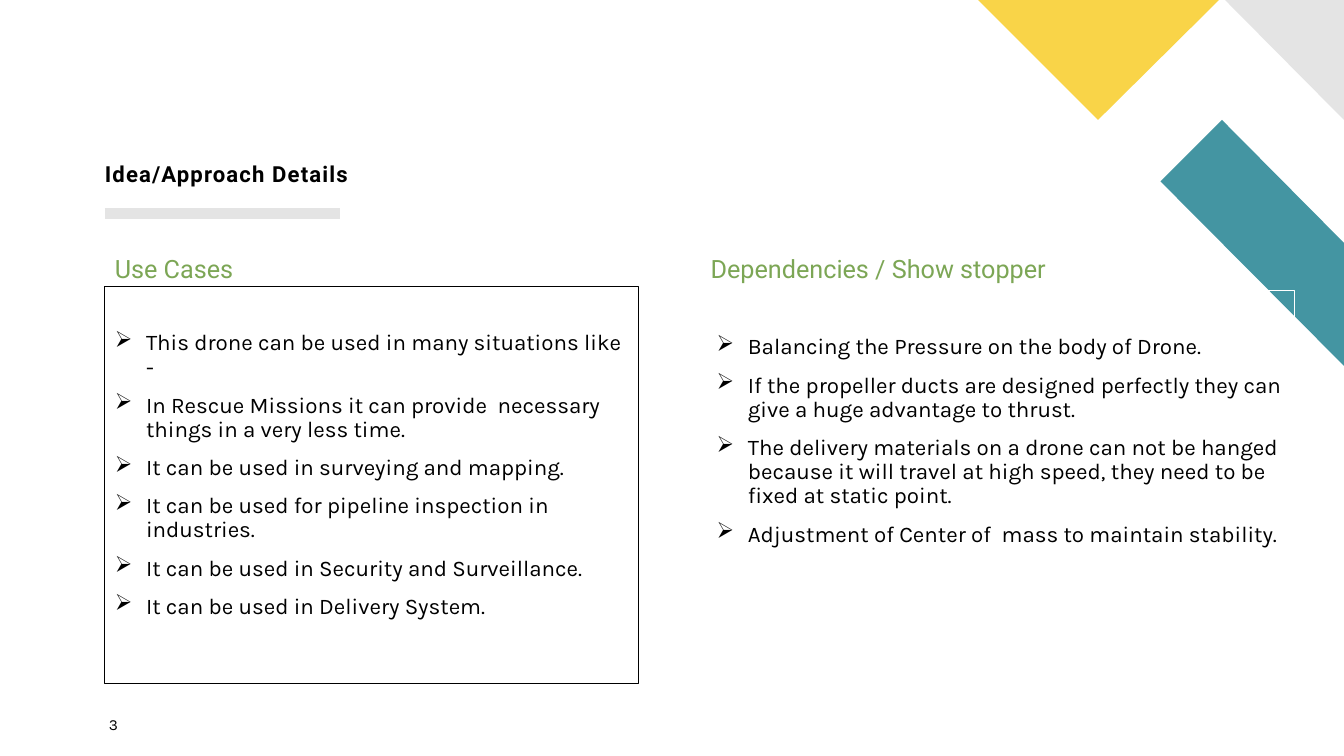
from lxml import etree
from pptx import Presentation
from pptx.dml.color import RGBColor
from pptx.enum.shapes import MSO_CONNECTOR, MSO_SHAPE
from pptx.enum.text import MSO_ANCHOR, PP_ALIGN
from pptx.oxml.ns import qn
from pptx.util import Inches, Pt

BLACK = RGBColor(0x00, 0x00, 0x00)
WHITE = RGBColor(0xFF, 0xFF, 0xFF)
GREY = RGBColor(0xE4, 0xE4, 0xE4)
TEAL = RGBColor(0x44, 0x95, 0xA2)
YELLOW = RGBColor(0xF9, 0xD4, 0x48)
GREEN = RGBColor(0x7C, 0xA6, 0x55)

CORNER_SHAPES = [
    (TEAL, [(13.33, 3.63), (13.33, 2.41), (12.12, 1.19), (11.51, 1.8)]),
    (GREY, [(13.33, 1.19), (13.33, 0), (12.15, 0)]),
    (YELLOW, [(9.7, 0), (10.89, 1.19), (12.09, 0)]),
]
USE_CASES = [
    "This drone can be used in many situations like -",
    "In Rescue Missions it can provide  necessary things in a very less time.",
    "It can be used in surveying and mapping.",
    "It can be used for pipeline inspection in industries.",
    "It can be used in Security and Surveillance.",
    "It can be used in Delivery System.",
]
DEPENDENCIES = [
    "Balancing the Pressure on the body of Drone.",
    "If the propeller ducts are designed perfectly they can give a huge advantage to thrust.",
    "The delivery materials on a drone can not be hanged because it will travel at high speed, "
    "they need to be fixed at static point.",
    "Adjustment of Center of  mass to maintain stability.",
]


def add_polygon(s, color, points):
    points = [(Inches(x), Inches(y)) for x, y in points]
    builder = s.shapes.build_freeform(*points[0])
    builder.add_line_segments(points[1:], close=True)
    sp = builder.convert_to_shape()
    sp.shadow.inherit = False
    sp.fill.solid()
    sp.fill.fore_color.rgb = color
    sp.line.fill.background()


def add_bar(s, left, right, y):
    sp = s.shapes.add_connector(
        MSO_CONNECTOR.STRAIGHT, Inches(left), Inches(y), Inches(right), Inches(y))
    sp.line.color.rgb = GREY
    sp.line.width = Pt(8)
    etree.SubElement(sp._element.spPr, qn("a:effectLst"))


def style_paragraph(p, font, size, color, line_spacing=0.9):
    p.alignment = PP_ALIGN.LEFT
    p.line_spacing = line_spacing
    p.font.name = font
    p.font.size = Pt(size)
    p.font.color.rgb = color


def set_insets(tf, side, top, bottom):
    tf.margin_left = tf.margin_right = Inches(side)
    tf.margin_top = Inches(top)
    tf.margin_bottom = Inches(bottom)


def add_text(s, box, text, font, size, color, insets=(0, 0, 0), line_spacing=0.9):
    tf = s.shapes.add_textbox(*map(Inches, box)).text_frame
    tf.word_wrap = True
    set_insets(tf, *insets)
    p = tf.paragraphs[0]
    p.text = text
    style_paragraph(p, font, size, color, line_spacing)
    return tf


def add_title(s, text):
    tf = add_text(s, (1.04, 1.2, 6.32, 0.66), text, "Roboto", 15.8, BLACK)
    tf.vertical_anchor = MSO_ANCHOR.BOTTOM
    p = tf.paragraphs[0]
    p.font.bold = True
    p.runs[0]._r.get_or_add_rPr().set("spc", "80")


def add_heading(s, left, width, text):
    add_text(s, (left, 2.5, width, 0.34), text, "Roboto", 18, GREEN, (0.1, 0.05, 0.05))


def add_bullet(p):
    pPr = p._p.get_or_add_pPr()
    pPr.set("marL", str(Inches(0.31)))
    pPr.set("indent", str(-Inches(0.31)))
    color = etree.Element(qn("a:buClr"))
    etree.SubElement(color, qn("a:srgbClr"), val=str(BLACK))
    char = etree.Element(qn("a:buChar"), char="➢")
    pPr.find(qn("a:defRPr")).addprevious(color)
    color.addnext(char)


def add_bullet_box(s, box, line_color, items):
    sp = s.shapes.add_shape(MSO_SHAPE.RECTANGLE, *map(Inches, box))
    sp.shadow.inherit = False
    sp.fill.background()
    sp.line.color.rgb = line_color
    sp.line.width = Pt(0.75)
    tf = sp.text_frame
    tf.word_wrap = True
    tf.vertical_anchor = MSO_ANCHOR.TOP
    set_insets(tf, 0.1, 0.45, 0.05)
    for i, item in enumerate(items):
        p = tf.add_paragraph() if i else tf.paragraphs[0]
        p.text = item
        style_paragraph(p, "Karla", 16, BLACK)
        p.space_after = Pt(10)
        add_bullet(p)


def main():
    prs = Presentation()
    prs.slide_width = Inches(13.33)
    prs.slide_height = Inches(7.5)
    s = prs.slides.add_slide(prs.slide_layouts[6])
    add_bar(s, 1.04, 3.37, 2.12)
    for color, points in CORNER_SHAPES:
        add_polygon(s, color, points)
    add_title(s, "Idea/Approach Details")
    add_heading(s, 1.04, 5.29, "Use Cases")
    add_bullet_box(s, (1.04, 2.84, 5.29, 3.94), BLACK, USE_CASES)
    add_text(s, (1.08, 7.09, 0.57, 0.27), "3", "Karla", 11, BLACK, line_spacing=1.0)
    add_heading(s, 6.95, 5.44, "Dependencies / Show stopper")
    add_bullet_box(s, (7.01, 2.88, 5.83, 4.29), WHITE, DEPENDENCIES)
    prs.save("out.pptx")


if __name__ == "__main__":
    main()
